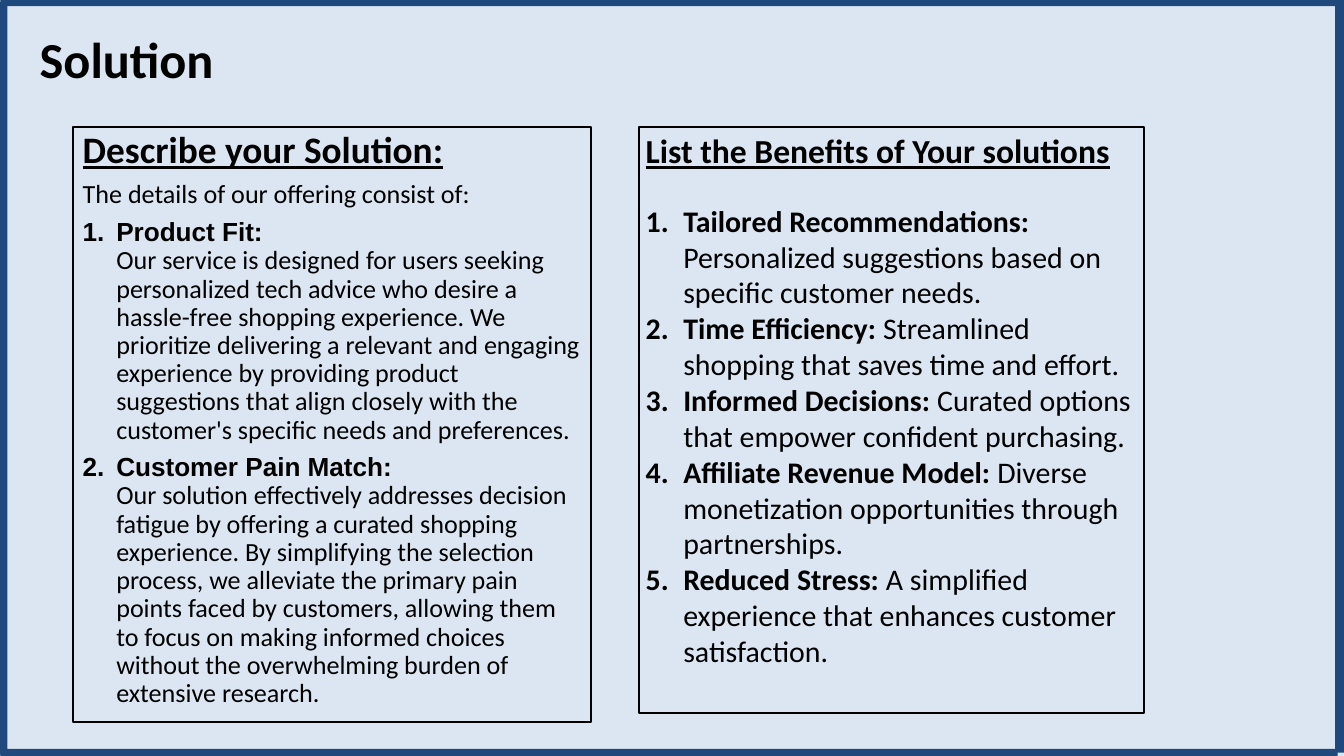
"""Build the Solution slide: a framed page with two outlined text panels."""
from dataclasses import dataclass

import lxml.etree
import pptx
import pptx.dml.color
import pptx.enum.shapes
import pptx.enum.text
import pptx.oxml.ns
import pptx.util

Pt = pptx.util.Pt
BLACK = pptx.dml.color.RGBColor(0x00, 0x00, 0x00)
NAVY = pptx.dml.color.RGBColor(0x1F, 0x49, 0x7D)
PALE_BLUE = pptx.dml.color.RGBColor(0xDC, 0xE6, 0xF2)
BODY_FONT = "Calibri"


@dataclass(frozen=True)
class Area:
    left: float
    top: float
    width: float
    height: float

    def lengths(self) -> tuple:
        return Pt(self.left), Pt(self.top), Pt(self.width), Pt(self.height)


@dataclass(frozen=True)
class Item:
    heading: str
    detail: str


@dataclass(frozen=True)
class Panel:
    area: Area
    inset_x: float
    inset_y: float
    title: str
    title_size: float
    intro: str
    items: tuple[Item, ...]
    item_size: float
    indent: float
    heading_font: str
    break_after_heading: bool
    line_spacing: float
    first_gap: float
    item_gap: float


FRAME = (
    Area(0.4, -1.4, 1432.8, 7.9),
    Area(0.4, 802.4, 1432.8, 7.9),
    Area(-1.4, 2.2, 9.4, 806.4),
    Area(1430.6, 0, 9.4, 806.4),
)

PANELS = (
    Panel(
        Area(77.8, 136.1, 555.1, 637.2), 10.8, 5.04,
        "Describe your Solution:", 40,
        "The details of our offering consist of:",
        (
            Item("Product Fit:",
                 "Our service is designed for users seeking personalized tech advice who "
                 "desire a hassle-free shopping experience. We prioritize delivering a "
                 "relevant and engaging experience by providing product suggestions that "
                 "align closely with the customer's specific needs and preferences."),
            Item("Customer Pain Match:",
                 "Our solution effectively addresses decision fatigue by offering a curated "
                 "shopping experience. By simplifying the selection process, we alleviate "
                 "the primary pain points faced by customers, allowing them to focus on "
                 "making informed choices without the overwhelming burden of extensive "
                 "research."),
        ),
        28, 36, "Arial", True, 0.9, 10, 10,
    ),
    Panel(
        Area(684.7, 136.1, 541.4, 627.8), 7.2, 3.6,
        "List the Benefits of Your solutions", 36, "",
        (
            Item("Tailored Recommendations:",
                 " Personalized suggestions based on specific customer needs."),
            Item("Time Efficiency:", " Streamlined shopping that saves time and effort."),
            Item("Informed Decisions:",
                 " Curated options that empower confident purchasing."),
            Item("Affiliate Revenue Model:",
                 " Diverse monetization opportunities through partnerships."),
            Item("Reduced Stress:",
                 " A simplified experience that enhances customer satisfaction."),
        ),
        32, 40.3, BODY_FONT, False, 1.0, 34, 0,
    ),
)


def set_font(font, size: float, bold: bool | None = None) -> None:
    font.name = BODY_FONT
    font.size = Pt(size)
    font.color.rgb = BLACK
    font.bold = bold


def prepare_frame(frame, inset_x: float, inset_y: float) -> None:
    frame.word_wrap = True
    frame.vertical_anchor = pptx.enum.text.MSO_ANCHOR.TOP
    frame.margin_left = frame.margin_right = Pt(inset_x)
    frame.margin_top = frame.margin_bottom = Pt(inset_y)


def add_rectangle(page, area: Area):
    box = page.shapes.add_shape(pptx.enum.shapes.MSO_SHAPE.RECTANGLE, *area.lengths())
    box.shadow.inherit = False
    return box


def add_bar(page, area: Area) -> None:
    bar = add_rectangle(page, area)
    bar.fill.solid()
    bar.fill.fore_color.rgb = NAVY
    bar.line.fill.background()


def add_title(page, text: str) -> None:
    box = page.shapes.add_textbox(*Area(31.7, 2.2, 893.5, 92.9).lengths())
    prepare_frame(box.text_frame, 10.8, 5.04)
    para = box.text_frame.paragraphs[0]
    para.text = text
    para.line_spacing = Pt(87.5)
    set_font(para.font, 54, True)


def add_number(para, indent: float) -> None:
    properties = para._p.get_or_add_pPr()
    properties.set("marL", str(Pt(indent)))
    properties.set("indent", str(-Pt(indent)))
    number = lxml.etree.SubElement(properties, pptx.oxml.ns.qn("a:buAutoNum"))
    number.set("type", "arabicPeriod")


def add_item(para, item: Item, panel: Panel) -> None:
    add_number(para, panel.indent)
    set_font(para.font, panel.item_size)
    heading = para.add_run()
    heading.text = item.heading
    heading.font.bold = True
    heading.font.name = panel.heading_font
    if panel.break_after_heading:
        para.add_line_break()
    detail = para.add_run()
    detail.text = item.detail
    detail.font.bold = False


def add_panel(page, panel: Panel) -> None:
    box = add_rectangle(page, panel.area)
    box.fill.background()
    box.line.color.rgb = BLACK
    box.line.width = Pt(2.25)
    frame = box.text_frame
    prepare_frame(frame, panel.inset_x, panel.inset_y)
    title = frame.paragraphs[0]
    title.text = panel.title
    set_font(title.font, panel.title_size, True)
    title.font.underline = True
    if panel.intro:
        intro = frame.add_paragraph()
        intro.text = panel.intro
        intro.space_before = Pt(panel.item_gap)
        set_font(intro.font, panel.item_size, False)
    for index, item in enumerate(panel.items):
        para = frame.add_paragraph()
        add_item(para, item, panel)
        para.space_before = Pt(panel.item_gap if index else panel.first_gap)
    for para in frame.paragraphs:
        para.alignment = pptx.enum.text.PP_ALIGN.LEFT
        para.line_spacing = panel.line_spacing


def main() -> None:
    deck = pptx.Presentation()
    deck.slide_width, deck.slide_height = Pt(1440), Pt(810)
    page = deck.slides.add_slide(deck.slide_layouts[6])
    page.background.fill.solid()
    page.background.fill.fore_color.rgb = PALE_BLUE
    add_title(page, "Solution")
    for panel in PANELS:
        add_panel(page, panel)
    for area in FRAME:
        add_bar(page, area)
    deck.save("out.pptx")


if __name__ == "__main__":
    main()
